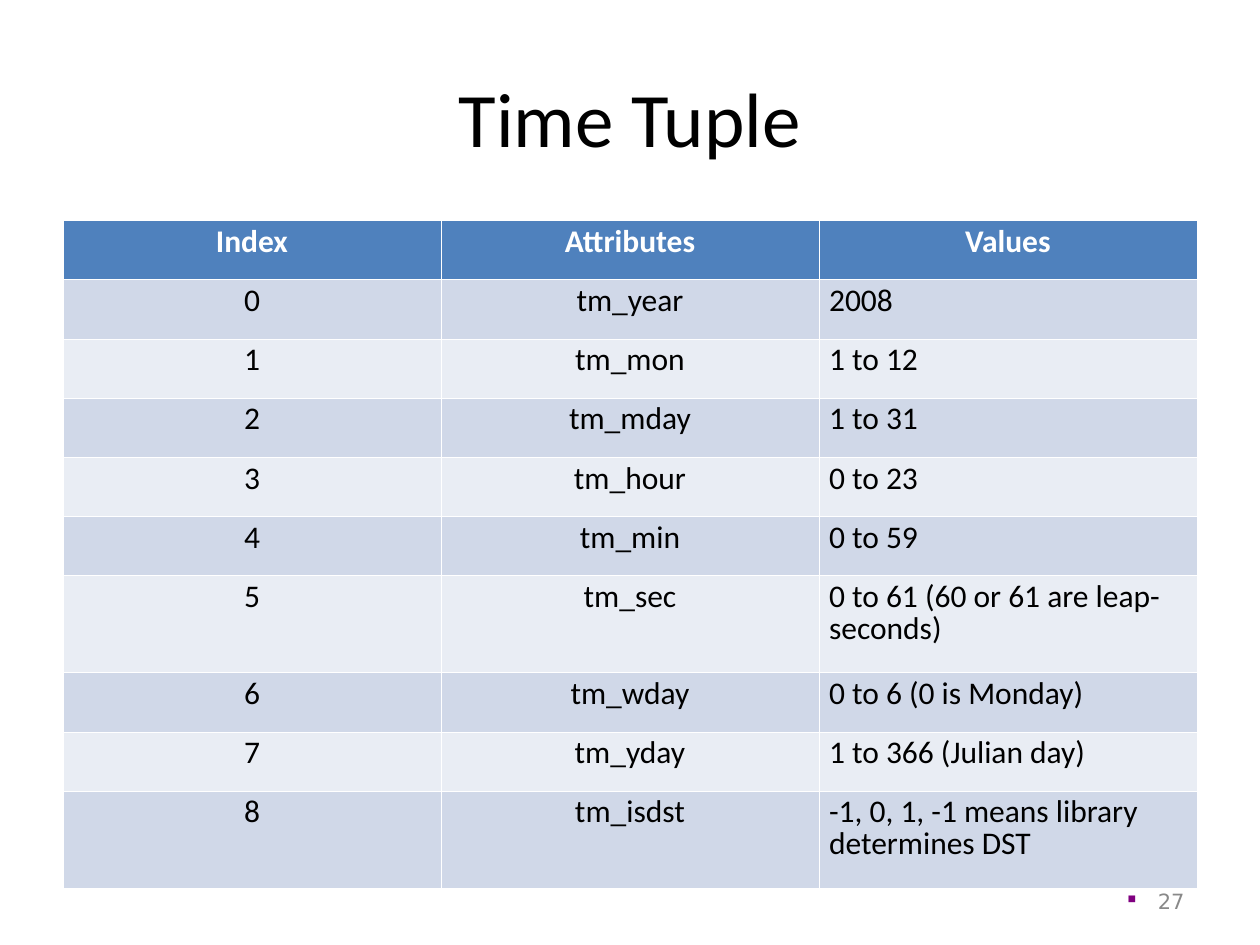
from typing import NamedTuple

from lxml.etree import SubElement
from pptx import Presentation
from pptx.dml.color import RGBColor
from pptx.enum.text import MSO_ANCHOR as Anchor, PP_ALIGN as Align
from pptx.oxml.ns import qn
from pptx.util import Inches, Pt


class TimeField(NamedTuple):
    index: str
    attribute: str
    values: str
    height: float = 0.47


HEADER = TimeField("Index", "Attributes", "Values")
FIELDS = [
    TimeField("0", "tm_year", "2008"),
    TimeField("1", "tm_mon", "1 to 12"),
    TimeField("2", "tm_mday", "1 to 31"),
    TimeField("3", "tm_hour", "0 to 23"),
    TimeField("4", "tm_min", "0 to 59"),
    TimeField("5", "tm_sec", "0 to 61 (60 or 61 are leap-seconds)", 0.77),
    TimeField("6", "tm_wday", "0 to 6 (0 is Monday)"),
    TimeField("7", "tm_yday", "1 to 366 (Julian day)"),
    TimeField("8", "tm_isdst", "-1, 0, 1, -1 means library determines DST", 0.77),
]
HEADER_FILL = "4F81BD"
BAND_FILLS = ("E9EDF4", "D0D8E8")
WHITE, BLACK = "FFFFFF", "000000"
THIN, THICK = 0.11, 0.34


def color(value: str) -> RGBColor:
    return RGBColor.from_string(value)


def style(para, size: float, ink: str, align, font: str = "Calibri", bold: bool = False) -> None:
    para.alignment = align
    for span in para.runs:
        span.font.name = font
        span.font.size = Pt(size)
        span.font.bold = bold
        span.font.color.rgb = color(ink)


def place(box, left: float, top: float, width: float, height: float) -> None:
    box.left, box.top = Inches(left), Inches(top)
    box.width, box.height = Inches(width), Inches(height)


def set_borders(cell, top: float, bottom: float) -> None:
    """Draw white cell borders; the widths of the top and bottom are in points."""
    properties = cell._tc.get_or_add_tcPr()
    widths = {"a:lnL": THIN, "a:lnR": THIN, "a:lnT": top, "a:lnB": bottom}
    for position, (tag, width) in enumerate(widths.items()):
        line = SubElement(properties, qn(tag), w=str(Pt(width)))
        fill = SubElement(line, qn("a:solidFill"))
        SubElement(fill, qn("a:srgbClr"), val=WHITE)
        properties.insert(position, line)


def add_title(page, text: str) -> None:
    title = page.shapes.title
    place(title, 0.5, 0.3, 9, 1.25)
    title.text_frame.text = text
    title.text_frame.vertical_anchor = Anchor.MIDDLE
    style(title.text_frame.paragraphs[0], 44, BLACK, Align.CENTER)


def add_field_table(page, rows: list[TimeField]) -> None:
    height = sum(row.height for row in rows)
    table = page.shapes.add_table(
        len(rows), 3, Inches(0.5), Inches(1.75), Inches(9), Inches(height)
    ).table
    for number, row in enumerate(rows):
        table.rows[number].height = Inches(row.height)
        is_header = number == 0
        for column, text in enumerate((row.index, row.attribute, row.values)):
            cell = table.cell(number, column)
            cell.text_frame.text = text
            cell.margin_left = cell.margin_right = Inches(0.08)
            cell.margin_top = cell.margin_bottom = Inches(0.05)
            cell.fill.solid()
            cell.fill.fore_color.rgb = color(HEADER_FILL if is_header else BAND_FILLS[number % 2])
            set_borders(cell, THICK if number == 1 else THIN, THICK if is_header else THIN)
            para = cell.text_frame.paragraphs[0]
            para.line_spacing = 0.83
            align = Align.CENTER if is_header or column < 2 else Align.LEFT
            style(para, 18, WHITE if is_header else BLACK, align, bold=is_header)


def add_page_number(page, text: str) -> None:
    box = page.shapes.add_textbox(Inches(7.17), Inches(6.95), Inches(2.33), Inches(0.4))
    frame = box.text_frame
    frame.word_wrap = True
    frame.vertical_anchor = Anchor.MIDDLE
    frame.text = text
    para = frame.paragraphs[0]
    properties = para._p.get_or_add_pPr()
    properties.set("marL", str(Inches(0.24)))
    properties.set("indent", str(-Inches(0.24)))
    bullet_color = SubElement(properties, qn("a:buClr"))
    SubElement(bullet_color, qn("a:srgbClr"), val="800080")
    SubElement(properties, qn("a:buSzPct"), val="55000")
    SubElement(properties, qn("a:buChar"), char="■")
    style(para, 12, "898989", Align.RIGHT, font="DejaVu Sans")


def main() -> None:
    deck = Presentation()
    deck.slide_width, deck.slide_height = Inches(10), Inches(7.5)
    page = deck.slides.add_slide(deck.slide_layouts[5])
    add_title(page, "Time Tuple")
    add_field_table(page, [HEADER, *FIELDS])
    add_page_number(page, "27")
    deck.save("out.pptx")


if __name__ == "__main__":
    main()
